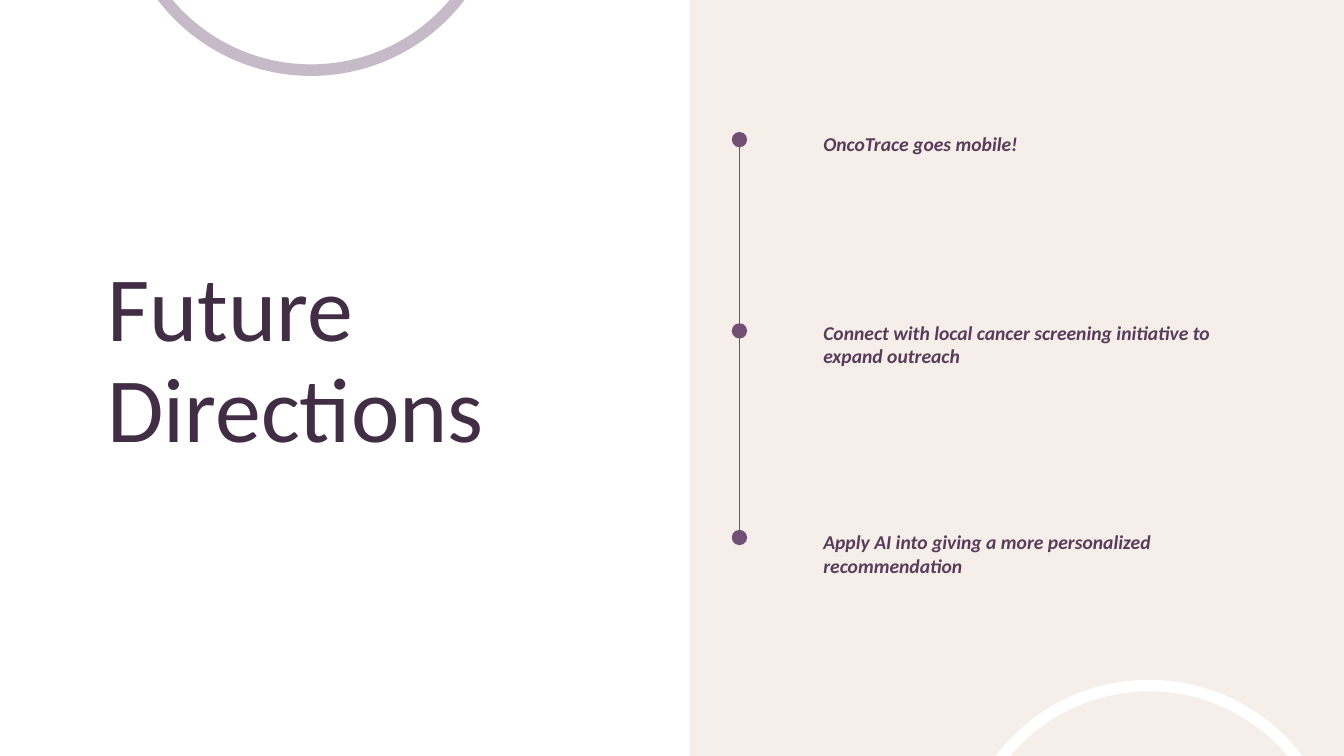
from lxml.etree import SubElement
from pptx import Presentation
from pptx.dml.color import RGBColor
from pptx.enum.shapes import MSO_CONNECTOR, MSO_SHAPE
from pptx.enum.text import MSO_ANCHOR, PP_ALIGN
from pptx.oxml.ns import qn
from pptx.util import Cm, Pt

FONT = "Calibri"
WHITE, BEIGE, PURPLE = "FFFFFF", "F6EEE8", "725076"
TITLE_COLOR, LABEL_COLOR = "412D44", "583D5B"
SLIDE_W, SLIDE_H = 50.8, 28.58
PANEL_W = 26.06
RING = 14.58

# (offset of the dot's centre, offset of the label's top, label height, text)
STEPS = [
    (0.3, 0, 0.86, "OncoTrace goes mobile!"),
    (7.53, 7.14, 2.6, "Connect with local cancer screening initiative to expand outreach"),
    (15.34, 15.06, 1.75, "Apply AI into giving a more personalized recommendation"),
]


def paint(fill, color):
    fill.solid()
    fill.fore_color.rgb = RGBColor.from_string(color)


def add_shape(s, kind, x, y, w, h, color):
    sp = s.shapes.add_shape(kind, Cm(x), Cm(y), Cm(w), Cm(h))
    sp.shadow.inherit = False
    paint(sp.fill, color)
    sp.line.fill.background()
    return sp


def add_ring(s, x, y, color, alpha=None):
    sp = add_shape(s, MSO_SHAPE.DONUT, x, y, RING, RING, color)
    sp.adjustments[0] = 0.03
    if alpha:
        clr = sp._element.spPr.find(qn("a:solidFill"))[0]
        SubElement(clr, qn("a:alpha"), val=str(alpha * 1000))


def write(sp, text, size, spacing, color, strong=False):
    tf = sp.text_frame
    tf.word_wrap = True
    tf.vertical_anchor = MSO_ANCHOR.TOP
    tf.margin_left = tf.margin_right = tf.margin_top = tf.margin_bottom = 0
    tf.text = text
    p = tf.paragraphs[0]
    p.alignment = PP_ALIGN.LEFT
    p.line_spacing = Pt(spacing)
    p.space_before = Pt(0)
    font = p.runs[0].font
    font.name, font.size = FONT, Pt(size)
    font.bold = font.italic = strong
    font.color.rgb = RGBColor.from_string(color)


def add_title_panel(s, x, y, w, h):
    panel = add_shape(s, MSO_SHAPE.RECTANGLE, x, y, w, h, WHITE)
    title = s.shapes.title
    title.left, title.top = Cm(x + 4.06), Cm(y + 9.8)
    title.width, title.height = Cm(18.52), Cm(7.72)
    write(title, "Future Directions", 98.3, 108.2, TITLE_COLOR)
    # Bring the title in front of the panel
    panel._element.addnext(title._element)


def add_timeline(s, x, y, w):
    dot, label_x = 0.58, 3.46
    axis = x + dot / 2
    # Vertical line from the first dot to the last
    line = s.shapes.add_connector(
        MSO_CONNECTOR.STRAIGHT,
        Cm(axis), Cm(y + STEPS[0][0]), Cm(axis), Cm(y + STEPS[-1][0]))
    line.line.width = Pt(1.5)
    line.line.color.rgb = RGBColor.from_string(PURPLE)
    SubElement(line._element.spPr, qn("a:effectLst"))
    # Dots and labels
    for center, top, height, text in STEPS:
        add_shape(s, MSO_SHAPE.OVAL, x, y + center - dot / 2, dot, dot, PURPLE)
        label = s.shapes.add_textbox(
            Cm(x + label_x), Cm(y + top), Cm(w - label_x), Cm(height))
        write(label, text, 21, 25.2, LABEL_COLOR, strong=True)


def main():
    prs = Presentation()
    prs.slide_width, prs.slide_height = Cm(SLIDE_W), Cm(SLIDE_H)
    s = prs.slides.add_slide(prs.slide_layouts[5])
    paint(s.background.fill, BEIGE)

    add_title_panel(s, 0, 0, PANEL_W, SLIDE_H)
    add_timeline(s, 27.66, 4.98, 18.78)
    # Rings cut by the slide edges
    add_ring(s, 36.14, 25.7, WHITE)
    add_ring(s, 4.47, -11.71, PURPLE, alpha=40)

    prs.save("out.pptx")


if __name__ == "__main__":
    main()
